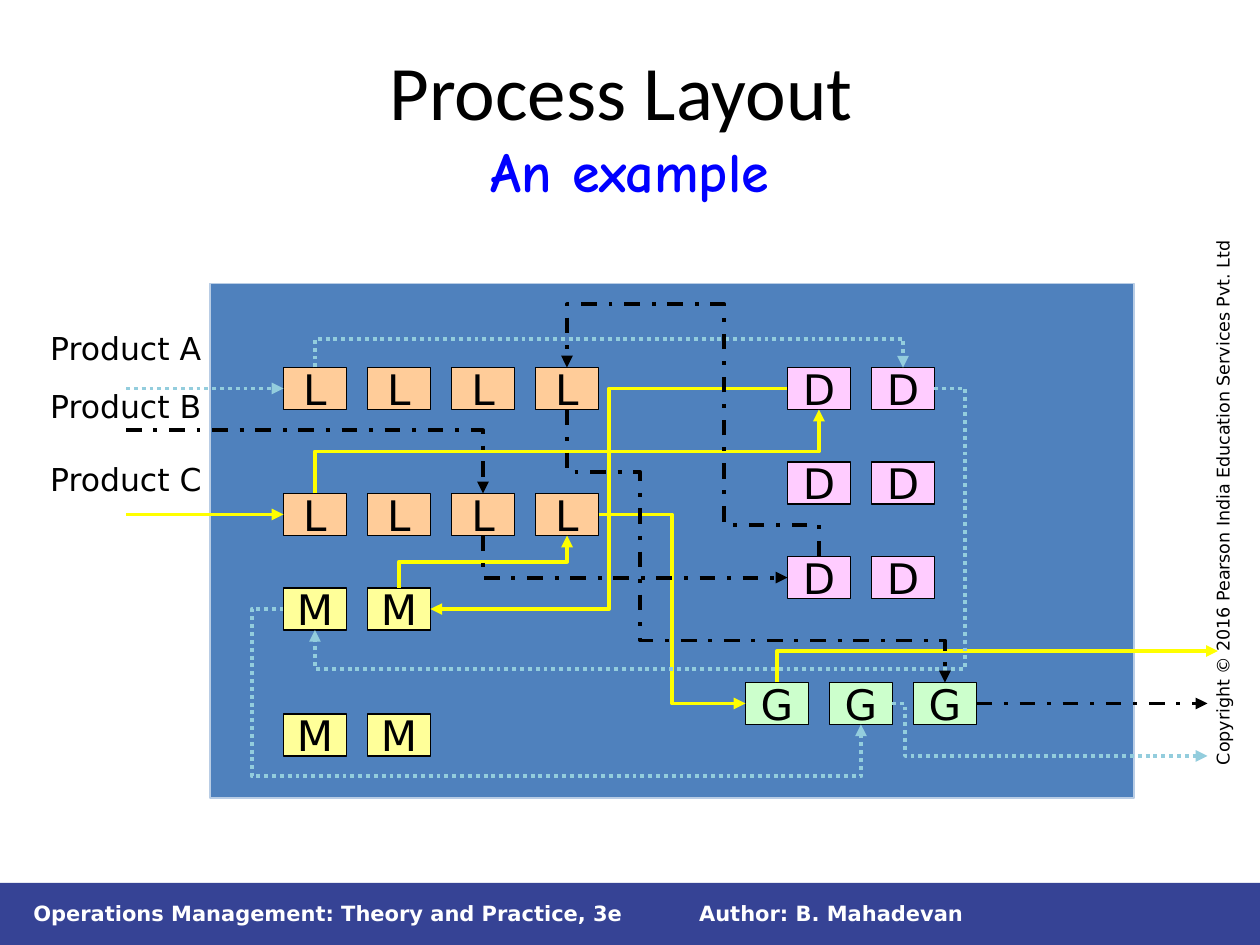
from dataclasses import dataclass

from lxml.etree import SubElement
from pptx import Presentation
from pptx.dml.color import RGBColor
from pptx.enum.dml import MSO_LINE
from pptx.enum.shapes import MSO_CONNECTOR, MSO_SHAPE
from pptx.enum.text import MSO_ANCHOR, MSO_AUTO_SIZE, PP_ALIGN
from pptx.oxml.ns import qn
from pptx.util import Pt

TOP, LEFT, BOTTOM, RIGHT = range(4)


@dataclass(frozen=True)
class Theme:
    ink: str = "000000"
    paper: str = "FFFFFF"
    footer: str = "364395"
    subtitle: str = "0000FF"
    floor: str = "4F81BD"
    floor_edge: str = "B9CDE5"
    lathe: str = "FFCC99"
    mill: str = "FFFF99"
    drill: str = "FFCCFF"
    grinder: str = "CCFFCC"
    product_a: str = "93CDDD"
    product_c: str = "FFFF00"
    body_font: str = "DejaVu Sans"
    title_font: str = "Calibri"
    subtitle_font: str = "Comic Neue"
    title_size: float = 44
    subtitle_size: float = 32
    machine_size: float = 24
    label_size: float = 18
    footer_size: float = 12
    copyright_size: float = 10
    edge_width: float = 0.75
    flow_width: float = 2.25


def write(paragraph, text, *, font, size, color, bold=False):
    run = paragraph.add_run()
    run.text = text
    run.font.name = font
    run.font.size = Pt(size)
    run.font.bold = bold
    run.font.color.rgb = RGBColor.from_string(color)


def port(machine, side):
    across = (0.5, 0, 0.5, 1)[side]
    down = (0, 0.5, 1, 0.5)[side]
    return (machine.left + int(machine.width * across),
            machine.top + int(machine.height * down))


def point(x, y):
    return Pt(x), Pt(y)


class LayoutSlide:
    """Draws the elements of a process layout on one slide."""

    def __init__(self, slide, theme):
        self.shapes = slide.shapes
        self.theme = theme

    def block(self, x, y, width, height, fill, edge=None):
        block = self.shapes.add_shape(MSO_SHAPE.RECTANGLE, Pt(x), Pt(y), Pt(width), Pt(height))
        block.shadow.inherit = False
        block.fill.solid()
        block.fill.fore_color.rgb = RGBColor.from_string(fill)
        if edge:
            block.line.color.rgb = RGBColor.from_string(edge)
            block.line.width = Pt(self.theme.edge_width)
        else:
            block.line.fill.background()
        return block

    def machines(self, letter, x, rows, count, fill):
        return [[self.machine(letter, x + 48 * column, y, fill) for column in range(count)]
                for y in rows]

    def machine(self, letter, x, y, fill):
        machine = self.block(x, y, 36, 24, fill, self.theme.ink)
        frame = machine.text_frame
        frame.word_wrap = False
        frame.vertical_anchor = MSO_ANCHOR.MIDDLE
        frame.paragraphs[0].alignment = PP_ALIGN.CENTER
        write(frame.paragraphs[0], letter, font=self.theme.body_font,
              size=self.theme.machine_size, color=self.theme.ink)
        return machine

    def label(self, x, y, width, height, text, size, color, bold=False,
              wrap=True, anchor=MSO_ANCHOR.TOP, rotation=0):
        label = self.shapes.add_textbox(Pt(x), Pt(y), Pt(width), Pt(height))
        label.rotation = rotation
        frame = label.text_frame
        frame.word_wrap = wrap
        frame.auto_size = MSO_AUTO_SIZE.SHAPE_TO_FIT_TEXT
        frame.vertical_anchor = anchor
        write(frame.paragraphs[0], text, font=self.theme.body_font,
              size=size, color=color, bold=bold)

    def title(self, heading, subheading):
        title = self.shapes.add_textbox(Pt(36), Pt(21.6), Pt(648), Pt(90))
        title.text_frame.word_wrap = True
        paragraph = title.text_frame.paragraphs[0]
        paragraph.alignment = PP_ALIGN.CENTER
        write(paragraph, heading, font=self.theme.title_font,
              size=self.theme.title_size, color=self.theme.ink)
        paragraph.add_line_break()
        write(paragraph, subheading, font=self.theme.subtitle_font,
              size=self.theme.subtitle_size, color=self.theme.subtitle, bold=True)

    def style_flow(self, flow, color, dash):
        flow.line.color.rgb = RGBColor.from_string(color)
        flow.line.width = Pt(self.theme.flow_width)
        if dash:
            flow.line.dash_style = dash
        properties = flow.element.spPr
        SubElement(properties.find(qn("a:ln")), qn("a:tailEnd"), type="triangle")
        if properties.find(qn("a:effectLst")) is None:
            SubElement(properties, qn("a:effectLst"))

    def straight(self, start, end, color, dash=None, source=None, target=None):
        flow = self.shapes.add_connector(MSO_CONNECTOR.STRAIGHT, *start, *end)
        if source:
            flow.begin_connect(source, RIGHT)
        if target:
            flow.end_connect(target, LEFT)
        self.style_flow(flow, color, dash)

    def elbow(self, start, end, color, dash=None, bends=3, upright=False, adjust=()):
        dx, dy = end[0] - start[0], end[1] - start[1]
        width, height = abs(dx), abs(dy)
        rotation, flip_h, flip_v = 0, dx < 0, dy < 0
        if upright:
            width, height = max(height, Pt(0.12)), width
            rotation, flip_h = (270 if dy < 0 else 90), False
            flip_v = (dx < 0) == (dy < 0)
        left = (start[0] + end[0] - width) // 2
        top = (start[1] + end[1] - height) // 2
        flow = self.shapes.add_connector(MSO_CONNECTOR.ELBOW, left, top,
                                         left + width, top + height)
        transform = flow.element.spPr.find(qn("a:xfrm"))
        for name, value in (("rot", rotation * 60000), ("flipH", int(flip_h)),
                            ("flipV", int(flip_v))):
            if value:
                transform.set(name, str(value))
        geometry = flow.element.spPr.find(qn("a:prstGeom"))
        geometry.set("prst", f"bentConnector{bends}")
        for number, share in enumerate(adjust, 1):
            SubElement(geometry.find(qn("a:avLst")), qn("a:gd"),
                       name=f"adj{number}" if bends > 3 else "adj1",
                       fmla=f"val {round(share * 100000)}")
        self.style_flow(flow, color, dash)

    def route(self, points, color, dash):
        builder = self.shapes.build_freeform(*points[0])
        builder.add_line_segments(points[1:], close=False)
        flow = builder.convert_to_shape()
        flow.shadow.inherit = False
        flow.fill.background()
        self.style_flow(flow, color, dash)


def main():
    theme = Theme()
    deck = Presentation()
    deck.slide_width, deck.slide_height = Pt(720), Pt(540)
    page = LayoutSlide(deck.slides.add_slide(deck.slide_layouts[6]), theme)

    page.block(0, 504.5, 720, 35.5, theme.footer)
    for x, width, text in ((392.4, 336, "Author: B. Mahadevan"),
                           (12, 360, "Operations Management: Theory and Practice, 3e")):
        page.label(x, 511.2, width, 21.6, text, theme.footer_size, theme.paper,
                   bold=True, anchor=MSO_ANCHOR.MIDDLE)
    page.label(536.4, 272.2, 324.7, 19.4,
               "Copyright © 2016 Pearson India Education Services Pvt. Ltd",
               theme.copyright_size, theme.ink, rotation=270)
    page.title("Process Layout ", "An example")

    page.block(120, 162, 528, 294, theme.floor, theme.floor_edge)
    lathes = page.machines("L", 162, (210, 282), 4, theme.lathe)
    mills = page.machines("M", 162, (336, 408), 2, theme.mill)
    drills = page.machines("D", 450, (210, 264, 318), 2, theme.drill)
    grinders = page.machines("G", 426, (390,), 3, theme.grinder)[0]

    yellow = theme.product_c
    page.straight(point(72, 294), port(lathes[1][0], LEFT), yellow, target=lathes[1][0])
    page.elbow(port(lathes[1][0], TOP), port(drills[0][0], BOTTOM), yellow,
               upright=True, adjust=[0.5])
    page.elbow(port(drills[0][0], LEFT), port(mills[0][1], RIGHT), yellow, adjust=[0.5])
    page.elbow(port(mills[0][1], TOP), port(lathes[1][3], BOTTOM), yellow,
               upright=True, adjust=[0.5])
    page.elbow(port(lathes[1][3], RIGHT), port(grinders[0], LEFT), yellow, adjust=[0.5])
    page.elbow(port(grinders[0], TOP), point(696, 372), yellow, bends=2, upright=True)

    dotted = {"color": theme.product_a, "dash": MSO_LINE.ROUND_DOT}
    page.elbow(port(drills[0][1], RIGHT), port(mills[0][0], BOTTOM), bends=4,
               adjust=[-0.05, 1.16], **dotted)
    page.straight(point(72, 222), port(lathes[0][0], LEFT), target=lathes[0][0], **dotted)
    page.elbow(port(lathes[0][0], TOP), port(drills[0][1], TOP), upright=True,
               adjust=[-144], **dotted)
    page.elbow(port(mills[0][0], LEFT), port(grinders[1], BOTTOM), bends=4,
               adjust=[-18 / 330, 1.45], **dotted)
    page.elbow(port(grinders[1], RIGHT), point(690, 432), adjust=[0.04], **dotted)

    dashed = {"color": theme.ink, "dash": MSO_LINE.DASH_DOT}
    page.route([point(72, 246), point(276, 246), port(lathes[1][2], TOP)], **dashed)
    page.elbow(port(lathes[1][2], BOTTOM), port(drills[2][0], LEFT), bends=2,
               upright=True, **dashed)
    page.route([port(drills[2][0], TOP), point(468, 300), point(414, 300), point(414, 174),
                point(324, 174), port(lathes[0][3], TOP)], **dashed)
    page.route([port(lathes[0][3], BOTTOM), point(324, 270), point(366, 270), point(366, 366),
                point(540, 366), port(grinders[2], TOP)], **dashed)
    page.straight(port(grinders[2], RIGHT), point(690, 402), source=grinders[2], **dashed)

    for product, y in (("A", 184.5), ("B", 217.5), ("C", 259.2)):
        page.label(21.6, y, 102, 28.8, f"Product {product}", theme.label_size, theme.ink,
                   wrap=False)

    deck.save("out.pptx")


if __name__ == "__main__":
    main()
